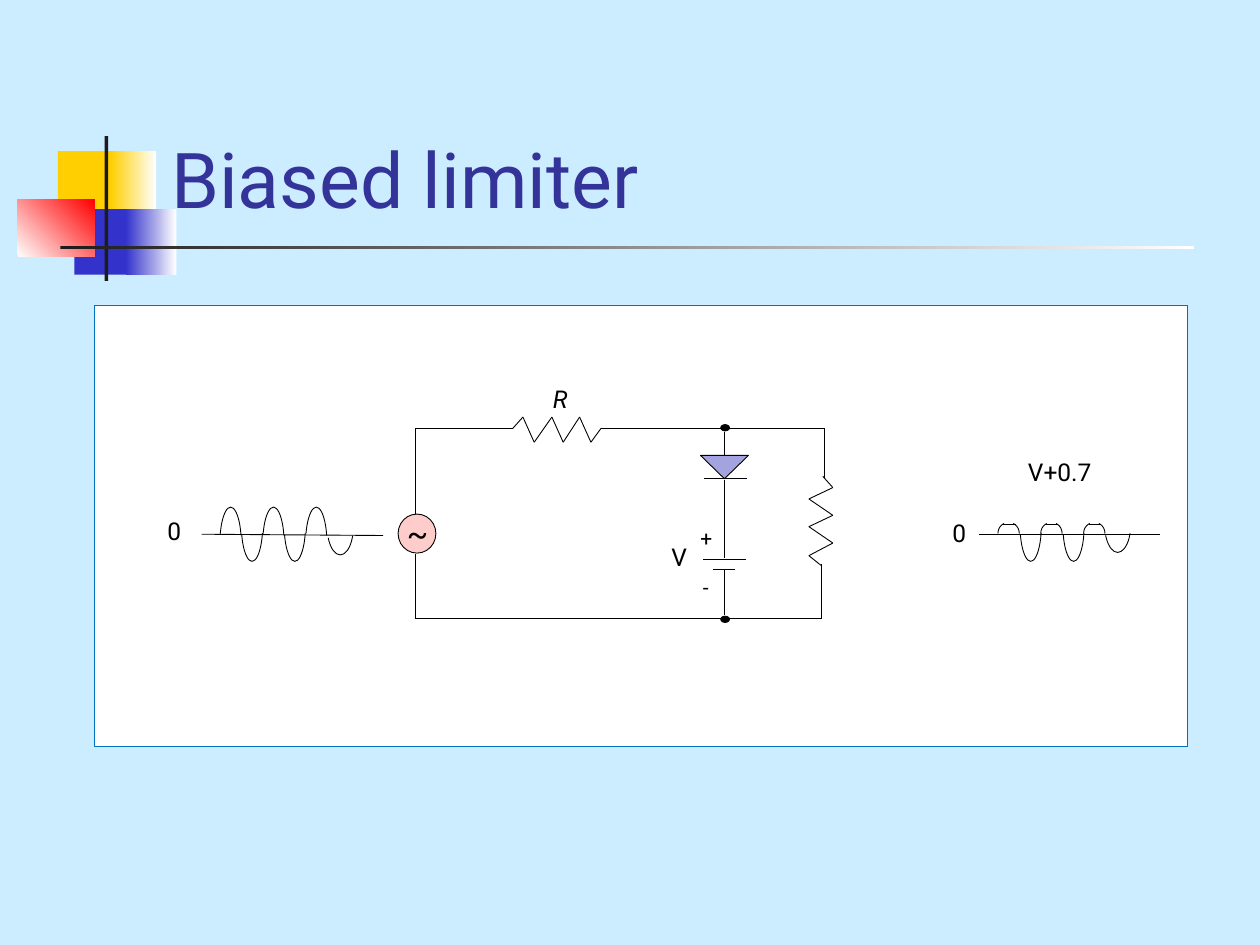
"""Build the biased limiter circuit slide."""
from itertools import pairwise

from lxml import etree
from pptx import Presentation
from pptx.dml.color import RGBColor
from pptx.enum.shapes import MSO_CONNECTOR, MSO_SHAPE
from pptx.enum.text import MSO_ANCHOR
from pptx.oxml.ns import qn
from pptx.util import Inches, Pt

RECT, OVAL, ARC = MSO_SHAPE.RECTANGLE, MSO_SHAPE.OVAL, MSO_SHAPE.ARC
ARROW = MSO_SHAPE.DOWN_ARROW
LINE = MSO_CONNECTOR.STRAIGHT
FONT = "Roboto"
HEX = {
    "sky": "CCECFF", "gold": "FFCF01", "blue": "3333CC", "red": "FF0000",
    "white": "FFFFFF", "dark": "1C1C1C", "title": "333399", "edge": "0070C0",
    "black": "000000", "pink": "FFCCCC", "lilac": "A3A3E0",
}

BARS = [
    ((0.46, 1.2, 0.48, 0.52), "gold", None, 0),
    ((0.88, 1.2, 0.36, 0.52), "gold", "white", 0),
    ((0.59, 1.66, 0.46, 0.52), "blue", None, 0),
    ((1, 1.66, 0.4, 0.52), "blue", "white", 0),
    ((0.14, 1.58, 0.61, 0.46), "white", "red", 45),
    ((0.83, 1.08, 0.03, 1.15), "dark", None, 0),
    ((0.48, 1.95, 9, 0.03), "dark", "white", 0),
]
TITLE = ("Biased limiter", (1.26, 0.23, 8.52, 1.6))
FRAME = (0.75, 2.42, 8.67, 3.5)
LABELS = [
    ("0", (1.23, 4.05, 0.31, 0.34), 14, False),
    ("0", (7.46, 4.06, 0.31, 0.34), 14, False),
    ("+", (5.46, 4.12, 0.32, 0.3), 12, False),
    ("-", (5.48, 4.51, 0.26, 0.3), 12, False),
    ("R", (4.29, 3, 0.32, 0.34), 14, True),
    ("V", (5.23, 4.25, 0.32, 0.34), 14, True),
    ("V+0.7", (8.06, 3.58, 0.73, 0.34), 14, False),
    ("~", (3.13, 4.03, 0.29, 0.3), 18, True),
]
ITALIC = {"R"}
WIRES = {
    "input axis": [(1.6, 4.24), (3.04, 4.25)],
    "output axis": [(7.77, 4.24), (9.21, 4.24)],
    "source top": [(3.3, 4.08), (3.3, 3.4), (4.07, 3.4)],
    "resistor": [(4.07, 3.4), (4.15, 3.31), (4.24, 3.51), (4.38, 3.31),
                 (4.47, 3.51), (4.6, 3.31), (4.69, 3.51), (4.77, 3.4)],
    "top": [(4.77, 3.4), (5.72, 3.4)],
    "load top": [(5.77, 3.4), (6.54, 3.4), (6.54, 3.79)],
    "load": [(6.53, 3.78), (6.61, 3.87), (6.42, 3.96), (6.61, 4.09),
             (6.42, 4.18), (6.61, 4.31), (6.42, 4.41), (6.52, 4.49)],
    "load foot": [(6.52, 4.48), (6.52, 4.91), (5.74, 4.91)],
    "source foot": [(3.3, 4.4), (3.3, 4.91), (5.72, 4.91)],
    "diode bar": [(5.59, 3.8), (5.93, 3.8)],
    "diode foot": [(5.75, 3.81), (5.75, 4.43)],
    "long plate": [(5.58, 4.44), (5.92, 4.44)],
    "short plate": [(5.66, 4.52), (5.83, 4.52)],
    "cell foot": [(5.75, 4.52), (5.75, 4.88)],
}
PARTS = [
    (OVAL, (5.72, 3.37, 0.07, 0.05), "black"),
    (OVAL, (5.72, 4.89, 0.07, 0.05), "black"),
    (OVAL, (3.16, 4.08, 0.3, 0.31), "pink"),
    (ARROW, (5.56, 3.43, 0.38, 0.37), "lilac"),
]
STEP = 0.34
LOBE = (184.94, 27.31)
BEND = (173.06, 0)
CREST = [(1.54 + STEP * i, 4.23, 0.58, 0.17) for i in range(3)]
DIP = [(x + STEP * i, 4.08, 0.58, 0.17) for x in (1.71, 7.89) for i in range(2)]
DIP += [(2.47, 4.07, 0.46, 0.21), (8.64, 4.05, 0.46, 0.21)]
CLIPS = [7.92 + STEP * i for i in range(3)]


def color(name):
    return RGBColor.from_string(HEX[name])


def add_part(slide, kind, box, fill=None, line=None, width=0.5):
    part = slide.shapes.add_shape(kind, *map(Inches, box))
    part.shadow.inherit = False
    if fill:
        part.fill.solid()
        part.fill.fore_color.rgb = color(fill)
    else:
        part.fill.background()
    if line:
        part.line.color.rgb = color(line)
        part.line.width = Pt(width)
    else:
        part.line.fill.background()
    return part


def add_bar(slide, box, first, last, angle):
    bar = add_part(slide, RECT, box, first)
    if last:
        bar.fill.gradient()
        bar.fill.gradient_angle = angle
        for stop, name in zip(bar.fill.gradient_stops, (first, last)):
            stop.color.rgb = color(name)


def add_arc(slide, box, ends, turn=0, flip=None):
    arc = add_part(slide, ARC, box, line="black")
    arc.adjustments[0], arc.adjustments[1] = ends
    arc.rotation = turn
    if flip:
        arc._element.spPr.find(qn("a:xfrm")).set(flip, "1")


def add_wire(slide, points):
    for start, end in pairwise(points):
        wire = slide.shapes.add_connector(LINE, *map(Inches, start + end))
        wire.line.color.rgb = color("black")
        wire.line.width = Pt(0.5)
        etree.SubElement(wire._element.spPr, qn("a:effectLst"))


def add_text(slide, text, box, size, wrap, tint="black"):
    frame = slide.shapes.add_textbox(*map(Inches, box)).text_frame
    frame.text = text
    frame.word_wrap = wrap
    font = frame.paragraphs[0].runs[0].font
    font.name, font.size = FONT, Pt(size)
    font.color.rgb = color(tint)
    if text in ITALIC:
        font.italic = True
    return frame


def main():
    deck = Presentation()
    deck.slide_width, deck.slide_height = Inches(10), Inches(7.5)
    slide = deck.slides.add_slide(deck.slide_layouts[6])
    slide.background.fill.solid()
    slide.background.fill.fore_color.rgb = color("sky")

    for bar in BARS:
        add_bar(slide, *bar)
    title = add_text(slide, *TITLE, 44, True, "title")
    title.vertical_anchor = MSO_ANCHOR.BOTTOM
    add_part(slide, RECT, FRAME, "white", "edge", 0.25)

    for box in CREST:
        add_arc(slide, box, LOBE, 270, "flipV")
    for box in DIP:
        add_arc(slide, box, LOBE, 90)
    for left in CLIPS:
        add_arc(slide, (left + 0.02, 4.15, 0.15, 0.17), BEND)
        add_arc(slide, (left, 4.15, 0.15, 0.17), BEND, flip="flipH")
        add_wire(slide, [(left + 0.04, 4.16), (left + 0.14, 4.16)])

    for points in WIRES.values():
        add_wire(slide, points)
    for kind, box, fill in PARTS:
        part = add_part(slide, kind, box, fill, "black")
        if kind == ARROW:
            part.adjustments[0], part.adjustments[1] = 0, 0.5
    for label in LABELS:
        add_text(slide, *label)
    deck.save("out.pptx")


if __name__ == "__main__":
    main()
